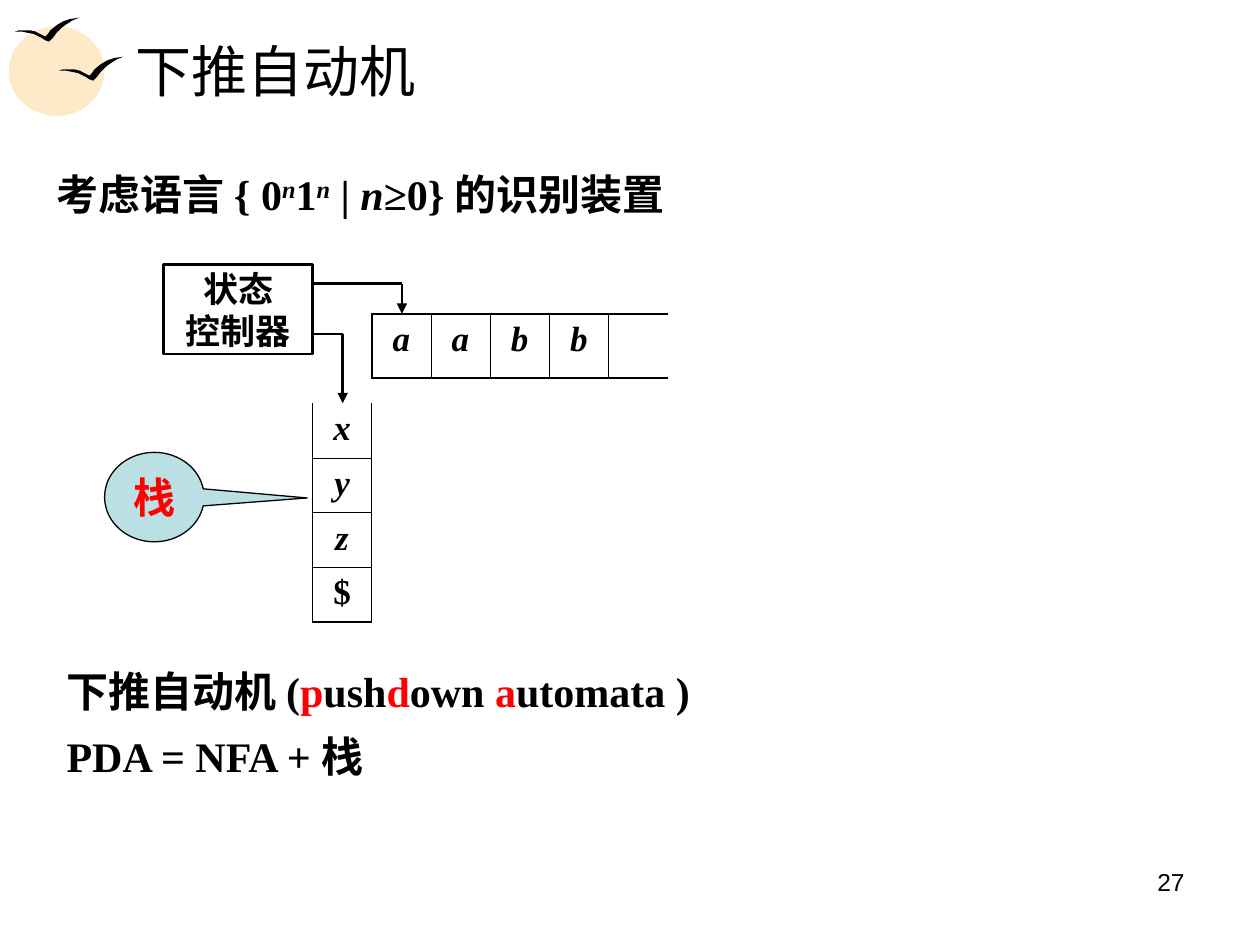
from lxml.etree import SubElement
from pptx import Presentation
from pptx.dml.color import RGBColor
from pptx.enum.shapes import MSO_CONNECTOR, MSO_SHAPE
from pptx.enum.text import MSO_ANCHOR, PP_ALIGN
from pptx.oxml import parse_xml
from pptx.oxml.ns import nsdecls, qn
from pptx.util import Inches, Pt

BLACK, RED = "000000", "FF0000"
SERIF, SANS = "Times New Roman", "Arial"
BIRD = [(0, 11), (3, 10), (8, 10), (12, 10), (16, 11), (20, 13), (24, 15), (26, 13),
        (28, 10), (33, 6), (38, 3), (44, 1), (51, 0), (46, 2), (41, 5), (37, 8),
        (33, 12), (30, 16), (28, 18), (27, 19), (24, 18), (21, 16), (15, 13),
        (10, 12), (5, 11)]


def hex_color(value):
    return RGBColor.from_string(value)


def write(paragraph, text, size=24, font=SERIF, color=BLACK, bold=True, italic=False, raised=False):
    run = paragraph.add_run()
    run.text = text
    run.font.size = Pt(size)
    run.font.name = font
    run.font.color.rgb = hex_color(color)
    run.font.bold = bold
    run.font.italic = italic
    if raised:
        run.font._element.set("baseline", "30000")


class SlideBuilder:
    outer_border = 1.08
    inner_border = 0.45

    def __init__(self, slide):
        self.slide = slide
        self.shapes = slide.shapes

    def fill_frame(self, frame, paragraphs, align=PP_ALIGN.LEFT, anchor=MSO_ANCHOR.TOP,
                   line_spacing=None, space_before=0, wrap=True, **style):
        frame.word_wrap = wrap
        frame.vertical_anchor = anchor
        for index, runs in enumerate(paragraphs):
            paragraph = frame.add_paragraph() if index else frame.paragraphs[0]
            paragraph.alignment = align
            if line_spacing:
                paragraph.line_spacing = line_spacing
            if index and space_before:
                paragraph.space_before = Pt(space_before)
            for text, changes in runs:
                write(paragraph, text, **{**style, **changes})

    def text(self, left, top, width, height, paragraphs, **style):
        box = self.shapes.add_textbox(Inches(left), Inches(top), Inches(width), Inches(height))
        self.fill_frame(box.text_frame, paragraphs, **style)

    def paint(self, shape, fill, line_width):
        shape.shadow.inherit = False
        if fill:
            shape.fill.solid()
            shape.fill.fore_color.rgb = hex_color(fill)
        else:
            shape.fill.background()
        if line_width:
            shape.line.color.rgb = hex_color(BLACK)
            shape.line.width = Pt(line_width)
        else:
            shape.line.fill.background()

    def shape(self, kind, left, top, width, height, fill=None, line_width=0):
        shape = self.shapes.add_shape(kind, Inches(left), Inches(top), Inches(width), Inches(height))
        self.paint(shape, fill, line_width)
        return shape

    def bird(self, left, top):
        builder = self.shapes.build_freeform(*BIRD[0], scale=Inches(0.01))
        builder.add_line_segments(BIRD[1:], close=True)
        self.paint(builder.convert_to_shape(Inches(left), Inches(top)), BLACK, 0)

    def line(self, start, end, arrow=False):
        connector = self.shapes.add_connector(
            MSO_CONNECTOR.STRAIGHT, *(Inches(value) for value in (*start, *end)))
        connector.line.color.rgb = hex_color(BLACK)
        connector.line.width = Pt(1.5)
        if arrow:
            SubElement(connector.line._get_or_add_ln(), qn("a:tailEnd"), type="triangle")
        SubElement(connector._element.spPr, qn("a:effectLst"))

    def elbow(self, start, corner_x, end_y):
        corner = (corner_x, start[1])
        self.line(start, corner)
        self.line(corner, (corner_x, end_y), arrow=True)

    def border(self, cell, position, side, width):
        paint = (f'<a:solidFill><a:srgbClr val="{BLACK}"/></a:solidFill>'
                 if width else "<a:noFill/>")
        cell._tc.get_or_add_tcPr().insert(position, parse_xml(
            f'<a:ln{side} {nsdecls("a")} w="{Pt(width)}">{paint}</a:ln{side}>'))

    def table(self, left, top, cell_width, cell_height, rows, open_side):
        row_count, column_count = len(rows), len(rows[0])
        frame = self.shapes.add_table(
            row_count, column_count, Inches(left), Inches(top),
            Inches(cell_width * column_count), Inches(cell_height * row_count))
        table = frame.table
        table.first_row = table.horz_banding = False
        for column in table.columns:
            column.width = Inches(cell_width)
        for row_index, texts in enumerate(rows):
            table.rows[row_index].height = Inches(cell_height)
            for column_index, text in enumerate(texts):
                cell = table.cell(row_index, column_index)
                cell.fill.background()
                outer = {"L": column_index == 0, "R": column_index == column_count - 1,
                         "T": row_index == 0, "B": row_index == row_count - 1}
                for position, (side, is_outer) in enumerate(outer.items()):
                    width = self.outer_border if is_outer else self.inner_border
                    self.border(cell, position, side, 0 if is_outer and side == open_side else width)
                if text:
                    paragraph = cell.text_frame.paragraphs[0]
                    paragraph.alignment = PP_ALIGN.CENTER
                    write(paragraph, text, size=20, italic=text.isalpha())


def main():
    presentation = Presentation()
    presentation.slide_width = Inches(10)
    presentation.slide_height = Inches(7.5)
    builder = SlideBuilder(presentation.slides.add_slide(presentation.slide_layouts[6]))

    builder.shape(MSO_SHAPE.OVAL, 0.07, 0.21, 0.76, 0.71, fill="FEE9C8")
    builder.bird(0.47, 0.45)
    builder.bird(0.12, 0.14)
    builder.text(7.17, 6.83, 2.33, 0.52, [[("27", {})]], align=PP_ALIGN.RIGHT,
                 size=14, font=SANS, bold=False)
    builder.text(0.98, 0.21, 8.53, 0.69, [[("下推自动机", {})]], anchor=MSO_ANCHOR.MIDDLE,
                 size=32, bold=False)

    italic, power, red = {"italic": True}, {"italic": True, "raised": True}, {"color": RED}
    builder.text(0.35, 1.23, 9.13, 0.63, [
        [("考虑语言 { 0", {}), ("n", power), ("1", {}), ("n", power), (" | ", {}),
         ("n", italic), ("≥0} 的识别装置", {})]], line_spacing=1.15)

    builder.table(2.48, 3.2, 0.47, 0.43, [["x"], ["y"], ["z"], ["$"]], open_side="T")
    controller = builder.shape(MSO_SHAPE.RECTANGLE, 1.3, 2.1, 1.18, 0.71, line_width=1.5)
    builder.fill_frame(controller.text_frame, [[("状态", {})], [("控制器", {})]],
                       align=PP_ALIGN.CENTER, anchor=MSO_ANCHOR.MIDDLE, wrap=False,
                       size=20, font=SANS)
    builder.elbow((2.48, 2.25), 3.19, 2.49)
    builder.elbow((2.48, 2.65), 2.72, 3.2)

    callout = builder.shape(MSO_SHAPE.OVAL_CALLOUT, 0.83, 3.59, 0.79, 0.71,
                            fill="BBE0E3", line_width=0.75)
    callout.adjustments[0] = 1.535
    callout.adjustments[1] = 0.01
    builder.fill_frame(callout.text_frame, [[("栈", red)]], align=PP_ALIGN.CENTER, font=SANS)

    builder.text(0.43, 5.17, 9.29, 2.13, [
        [("下推自动机 (", {}), ("p", red), ("ush", {}), ("d", red), ("own ", {}),
         ("a", red), ("utomata )", {})],
        [("PDA = NFA + 栈", {})]], line_spacing=1.15, space_before=4.5)
    builder.table(2.95, 2.49, 0.47, 0.51, [["a", "a", "b", "b", ""]], open_side="R")

    presentation.save("out.pptx")


if __name__ == "__main__":
    main()
